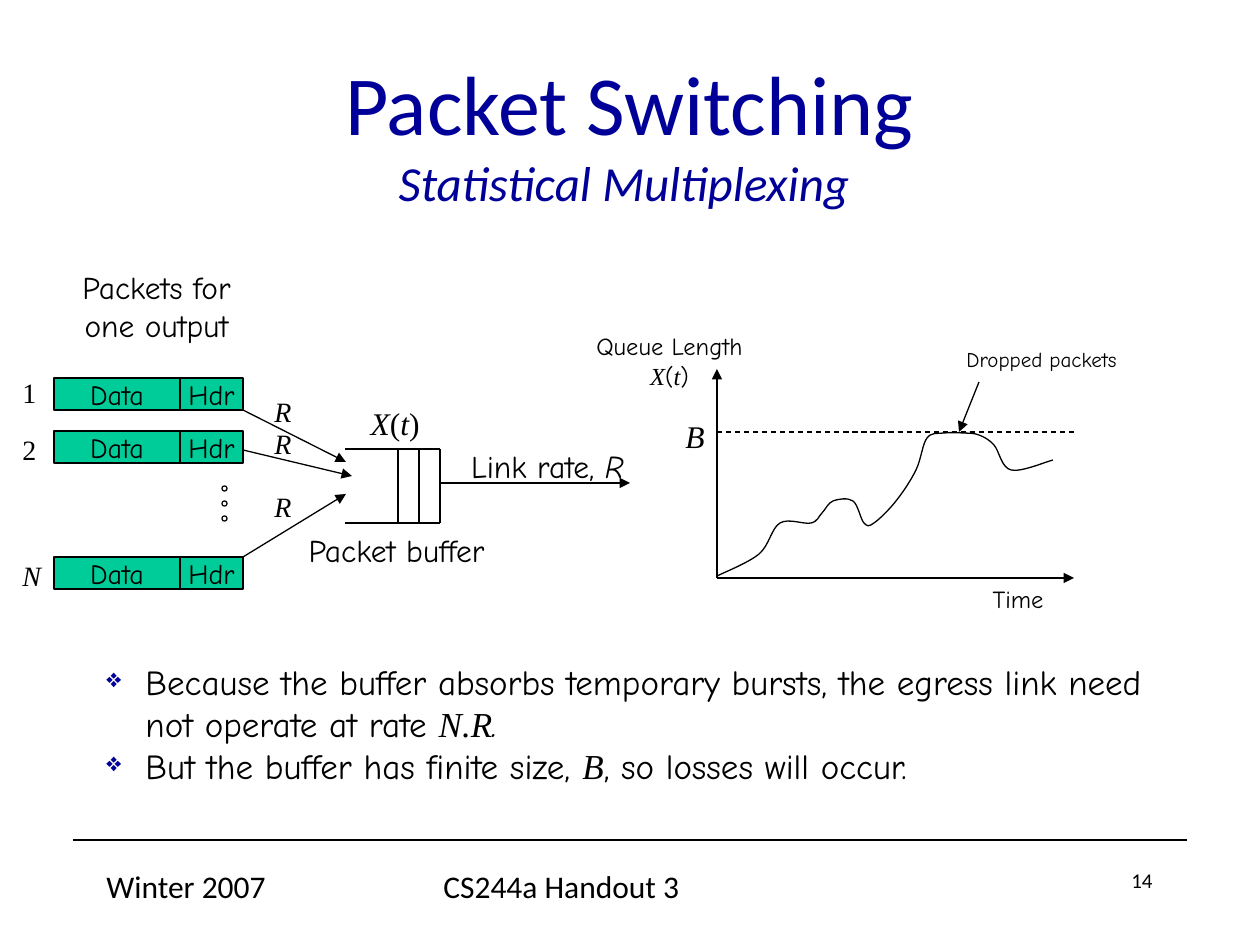
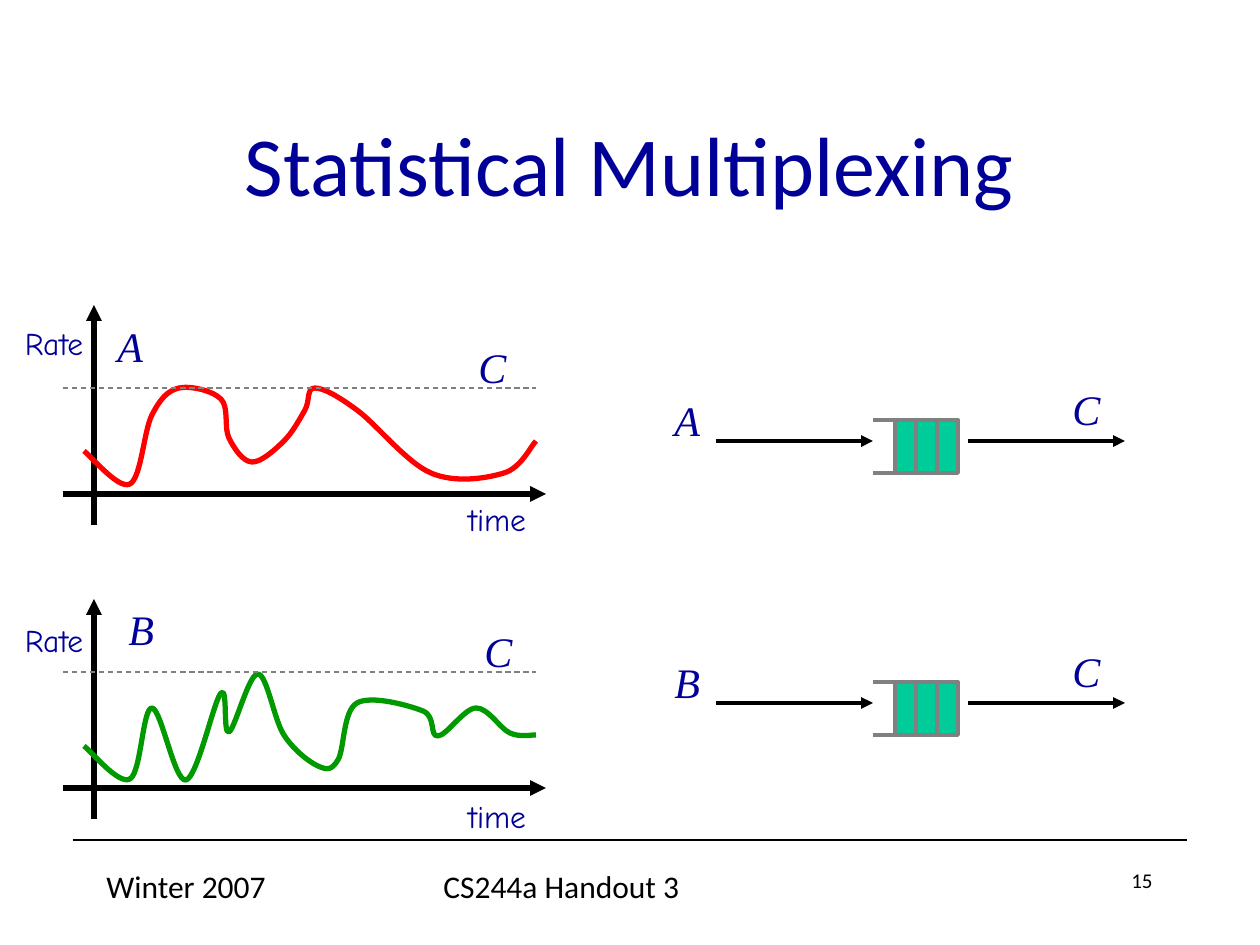
from lxml.etree import SubElement
from pptx import Presentation
from pptx.dml.color import RGBColor
from pptx.enum.dml import MSO_LINE
from pptx.enum.shapes import MSO_CONNECTOR, MSO_SHAPE
from pptx.enum.text import MSO_ANCHOR, MSO_AUTO_SIZE, PP_ALIGN
from pptx.oxml.ns import qn
from pptx.util import Pt

EMU_PER_PX = 914400 / 126
SLIDE_SIZE = 1260, 945
BLACK, NAVY, GREEN, GRAY = "000000", "000099", "00CC99", "808080"
LEFT, CENTER, RIGHT = PP_ALIGN.LEFT, PP_ALIGN.CENTER, PP_ALIGN.RIGHT

SANS = {"name": "Calibri"}
COMIC = {"name": "Comic Neue"}
SERIF = {"name": "Times New Roman"}
MATH = SERIF | {"italic": True}

FOOTER_RULE = (73, 840), (1187, 840)
FOOTER_TEXTS = [("Winter 2007", (94, 861, 262, 63)),
                ("CS244a Handout 3", (431, 861, 399, 63))]
PAGE_NUMBER_BOX = 903, 861, 262, 63

# Packet Switching: paragraphs are lists of (text, font) runs
SWITCHING_TITLE = [("Packet Switching\v", SANS | {"size": Pt(48)}),
                   ("Statistical Multiplexing ", SANS | {"size": Pt(28), "italic": True})]
QUEUE_SIZE = [("X", MATH), ("(", SERIF), ("t", MATH), (")", SERIF)]
PACKET_ROWS = [("1", SERIF, 378, 369), ("2", SERIF, 431, 426), ("N", MATH, 557, 552)]
PACKET_PARTS = [("Data", 54, 126), ("Hdr", 180, 63)]
PACKET_HEIGHT = 32
INPUT_LINKS = [((243, 410), (346, 462), 388),
               ((243, 450), (352, 476), 420),
               ((243, 557), (346, 494), 483)]
BUFFER_LEFT, BUFFER_TOP, BUFFER_RIGHT, BUFFER_BOTTOM = 345, 449, 440, 523
BUFFER_SLOT, SLOT_LINES = 21, 3
ELLIPSIS_X, ELLIPSIS_TOP, ELLIPSIS_STEP, DOT = 222, 486, 15, 5
SWITCHING_LABELS = [
    ((54, 262, 205, 88), [[("Packets for one output", COMIC)]], 18, CENTER, True),
    ((358, 398, 74, 50), [QUEUE_SIZE], 18, RIGHT, False),
    ((441, 441, 195, 50),
     [[("Link rate, ", COMIC), ("R", COMIC | {"italic": True})]], 18, RIGHT, False),
    ((294, 525, 205, 88), [[("Packet buffer", COMIC)]], 18, CENTER, True),
    ((567, 325, 205, 72),
     [[("Queue Length", COMIC)],
      [("X", MATH), ("(", COMIC), ("t", MATH), (")", COMIC)]], 14, CENTER, True),
    ((673, 411, 44, 50), [[("B", MATH)]], 18, RIGHT, False),
    ((924, 340, 205, 38), [[("Dropped packets", COMIC)]], 12, RIGHT, True),
    ((945, 578, 111, 42), [[("Time", COMIC)]], 14, RIGHT, True),
]
ORIGIN, QUEUE_AXIS_TOP, TIME_AXIS_END, BUFFER_LIMIT = (717, 578), 369, 1074, 432
DROP_POINTER = (979, 382), (959, 432)
QUEUE_LENGTH = [
    (717, 576), (759, 554), (780, 523), (811, 523), (822, 513), (833, 501),
    (853, 501), (864, 523), (874, 523), (896, 501), (916, 470), (927, 438),
    (944, 433), (964, 433), (979, 435), (994, 445), (1011, 470), (1053, 460)]
CONCLUSIONS_BOX = 94, 654, 1102, 139
CONCLUSIONS = [
    [("Because the buffer absorbs temporary bursts, the egress link need "
      "not operate at rate ", COMIC), ("N.R", MATH), (".", COMIC | {"italic": True})],
    [("But the buffer has finite size, ", COMIC), ("B", MATH),
     (", so losses will occur.", COMIC)]]

# Statistical Multiplexing: one entry per flow
MULTIPLEXING_TITLE = [("Statistical Multiplexing", SANS | {"size": Pt(48)})]
FLOWS = [
    {"name": "A", "color": "FF0000", "axis_top": 305, "capacity": 388, "link": 441,
     "name_at": (105, 314), "capacity_at": (466, 335),
     "rate_at": (8, 318), "time_at": (451, 494),
     "rate": [(84, 451), (130, 484), (152, 415), (179, 388), (221, 399),
              (229, 438), (252, 462), (284, 441), (305, 410), (315, 388),
              (357, 410), (431, 473), (504, 473), (536, 441)]},
    {"name": "B", "color": "009900", "axis_top": 599, "capacity": 672, "link": 703,
     "name_at": (116, 597), "capacity_at": (472, 619),
     "rate_at": (8, 615), "time_at": (451, 791),
     "rate": [(84, 746), (130, 779), (152, 708), (186, 780), (221, 693),
              (229, 732), (258, 674), (284, 735), (318, 766), (338, 760),
              (357, 703), (423, 711), (438, 736), (476, 708), (510, 733),
              (536, 735)]},
]
RATE_AXIS_X, RATE_AXIS_LENGTH, TIME_AXIS_DROP = 94, 220, 189
QUEUE_X, QUEUE_CELL, QUEUE_CELLS, QUEUE_HEIGHT = 895, 21, 3, 53


def px(*lengths):
    return [round(length * EMU_PER_PX) for length in lengths]


def rgb(color):
    return RGBColor.from_string(color)


def style(shape, fill, color, width):
    shape.shadow.inherit = False
    if fill:
        shape.fill.solid()
        shape.fill.fore_color.rgb = rgb(fill)
    else:
        shape.fill.background()
    shape.line.color.rgb = rgb(color)
    shape.line.width = Pt(width)


def add_line(slide, start, end, color=BLACK, width=0.75, arrow=False, dashed=False):
    line = slide.shapes.add_connector(MSO_CONNECTOR.STRAIGHT, *px(*start, *end))
    line.line.color.rgb = rgb(color)
    line.line.width = Pt(width)
    if dashed:
        line.line.dash_style = MSO_LINE.DASH
    if arrow:
        SubElement(line.line._get_or_add_ln(), qn("a:tailEnd"), type="triangle")
    SubElement(line.element.spPr, qn("a:effectLst"))


def add_curve(slide, knots, color, width):
    """Draw a smooth curve whose tangent at each knot follows its neighbours."""
    points = [tuple(px(*knot)) for knot in knots]
    builder = slide.shapes.build_freeform(*points[0], scale=1.0)
    builder.add_line_segments(points[1:], close=False)
    curve = builder.convert_to_shape()
    style(curve, None, color, width)

    left, top = curve.left, curve.top
    local = [(x - left, y - top) for x, y in points]
    padded = [local[0], *local, local[-1]]
    segments = list(curve.element.iter(qn("a:lnTo")))
    for segment, a, b, c, d in zip(segments, padded, padded[1:], padded[2:], padded[3:]):
        leaving = [q + (s - p) / 6 for p, q, s in zip(a, b, c)]
        arriving = [s - (t - q) / 6 for q, s, t in zip(b, c, d)]
        bezier = SubElement(segment.getparent(), qn("a:cubicBezTo"))
        for x, y in (leaving, arriving, c):
            SubElement(bezier, qn("a:pt"), x=str(round(x)), y=str(round(y)))
        segment.getparent().replace(segment, bezier)


def write(frame, paragraphs, size, color, align):
    for index, runs in enumerate(paragraphs):
        paragraph = frame.paragraphs[0] if index == 0 else frame.add_paragraph()
        paragraph.alignment = align
        for text, font in runs:
            for piece_index, piece in enumerate(text.split("\v")):
                if piece_index:
                    paragraph.add_line_break()
                if not piece:
                    continue
                run = paragraph.add_run()
                run.text = piece
                run.font.color.rgb = rgb(color)
                for attribute, value in ({"size": Pt(size)} | font).items():
                    setattr(run.font, attribute, value)


def add_label(slide, box, paragraphs, size, align=LEFT, wrap=False, color=BLACK, grow=True):
    frame = slide.shapes.add_textbox(*px(*box)).text_frame
    frame.word_wrap = wrap
    if grow:
        frame.auto_size = MSO_AUTO_SIZE.SHAPE_TO_FIT_TEXT
    write(frame, paragraphs, size, color, align)
    return frame


def add_block(slide, box, fill, color=BLACK, width=0.75, kind=MSO_SHAPE.RECTANGLE):
    block = slide.shapes.add_shape(kind, *px(*box))
    style(block, fill, color, width)
    return block


def add_slide(deck, title, title_top, number):
    """Start a slide with the title and footer that all slides share."""
    slide = deck.slides.add_slide(deck.slide_layouts[6])
    add_line(slide, *FOOTER_RULE)
    for text, box in FOOTER_TEXTS:
        add_label(slide, box, [[(text, SANS)]], 18, wrap=True, grow=False)
    add_label(slide, PAGE_NUMBER_BOX, [[(str(number), SANS)]], 12, RIGHT, True, grow=False)
    heading = add_label(slide, (94, title_top, 1071, 157), [title], 48, CENTER, True,
                        NAVY, grow=False)
    heading.vertical_anchor = MSO_ANCHOR.MIDDLE
    return slide


def add_bullets(frame):
    for paragraph in frame.paragraphs:
        properties = paragraph._p.get_or_add_pPr()
        indent = px(39)[0]
        properties.set("marL", str(indent))
        properties.set("indent", str(-indent))
        SubElement(SubElement(properties, qn("a:buClr")), qn("a:srgbClr"), val=NAVY)
        SubElement(properties, qn("a:buSzPct"), val="75000")
        SubElement(properties, qn("a:buChar"), char="❖")


def build_switching(deck):
    slide = add_slide(deck, SWITCHING_TITLE, 53, 14)
    for y in (BUFFER_TOP, BUFFER_BOTTOM):
        add_line(slide, (BUFFER_LEFT, y), (BUFFER_RIGHT, y))
    for slot in range(SLOT_LINES):
        x = BUFFER_RIGHT - slot * BUFFER_SLOT
        add_line(slide, (x, BUFFER_TOP), (x, BUFFER_BOTTOM))
    add_line(slide, (441, 483), (630, 483), arrow=True)

    for start, end, rate_top in INPUT_LINKS:
        add_line(slide, start, end, arrow=True)
        add_label(slide, (262, rate_top, 43, 47), [[("R", MATH)]], 16)
    for dot in range(3):
        add_block(slide, (ELLIPSIS_X, ELLIPSIS_TOP + dot * ELLIPSIS_STEP, DOT, DOT),
                  None, kind=MSO_SHAPE.OVAL)
    for name, font, top, name_top in PACKET_ROWS:
        add_label(slide, (10, name_top, 39, 47), [[(name, font)]], 16)
        for part, left, width in PACKET_PARTS:
            packet = add_block(slide, (left, top, width, PACKET_HEIGHT), GREEN)
            packet.text_frame.word_wrap = False
            packet.text_frame.vertical_anchor = MSO_ANCHOR.MIDDLE
            write(packet.text_frame, [[(part, COMIC)]], 16, BLACK, CENTER)

    add_line(slide, ORIGIN, (ORIGIN[0], QUEUE_AXIS_TOP), arrow=True)
    add_line(slide, ORIGIN, (TIME_AXIS_END, ORIGIN[1]), arrow=True)
    add_line(slide, (ORIGIN[0], BUFFER_LIMIT), (TIME_AXIS_END, BUFFER_LIMIT), dashed=True)
    add_curve(slide, QUEUE_LENGTH, BLACK, 0.75)
    add_line(slide, *DROP_POINTER, arrow=True)
    for label in SWITCHING_LABELS:
        add_label(slide, *label)
    add_bullets(add_label(slide, CONCLUSIONS_BOX, CONCLUSIONS, 20, wrap=True))


def add_rate_plot(slide, flow):
    top = flow["axis_top"]
    time_axis = top + TIME_AXIS_DROP
    add_line(slide, (RATE_AXIS_X, top + RATE_AXIS_LENGTH), (RATE_AXIS_X, top),
             width=3, arrow=True)
    add_line(slide, (63, time_axis), (546, time_axis), width=3, arrow=True)
    add_curve(slide, flow["rate"], flow["color"], 3)
    add_line(slide, (63, flow["capacity"]), (536, flow["capacity"]), GRAY, dashed=True)
    for text, corner in (("Rate", flow["rate_at"]), ("time", flow["time_at"])):
        add_label(slide, (*corner, 92, 50), [[(text, COMIC)]], 18, CENTER, color=NAVY)


def add_queue(slide, link):
    top = link - QUEUE_CELL
    for start, end in ((716, 873), (968, 1125)):
        add_line(slide, (start, link), (end, link), width=2.25, arrow=True)
    for cell in range(QUEUE_CELLS):
        add_block(slide, (QUEUE_X + cell * QUEUE_CELL, top, QUEUE_CELL, QUEUE_HEIGHT),
                  GREEN, GRAY, 2.25)
    for y in (top, top + QUEUE_HEIGHT):
        add_line(slide, (873, y), (916, y), GRAY, 2.25)


def build_multiplexing(deck):
    slide = add_slide(deck, MULTIPLEXING_TITLE, 84, 15)
    for flow in FLOWS:
        link = flow["link"]
        add_rate_plot(slide, flow)
        add_queue(slide, link)
        for text, corner in ((flow["name"], flow["name_at"]), ("C", flow["capacity_at"]),
                             (flow["name"], (662, link - 53)), ("C", (1060, link - 64))):
            add_label(slide, (*corner, 52, 63), [[(text, MATH)]], 24, color=NAVY)


def main():
    deck = Presentation()
    deck.slide_width, deck.slide_height = px(*SLIDE_SIZE)
    build_switching(deck)
    build_multiplexing(deck)
    deck.save("out.pptx")


if __name__ == "__main__":
    main()
